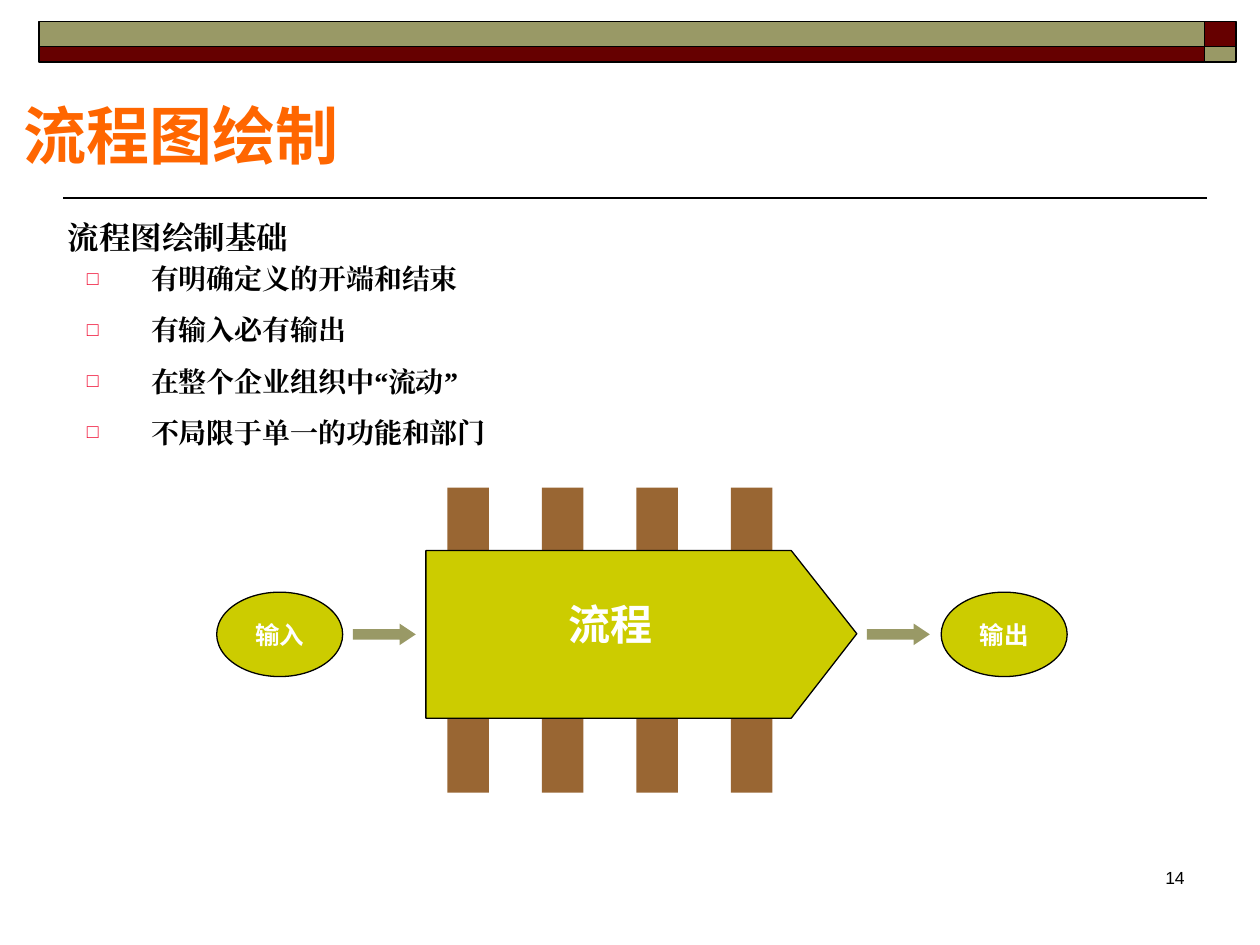
from pptx import Presentation
from pptx.dml.color import RGBColor
from pptx.enum.shapes import MSO_CONNECTOR as Connector, MSO_SHAPE as Shape
from pptx.enum.text import MSO_ANCHOR as Anchor, PP_ALIGN as Align
from pptx.oxml.ns import qn
from pptx.util import Inches, Pt
from lxml.etree import SubElement

OLIVE, MAROON, LIME, BROWN = "999966", "660000", "CCCC00", "996633"


def paint(shape, fill, line=None, weight=0.75):
    shape.shadow.inherit = False
    shape.fill.solid()
    shape.fill.fore_color.rgb = RGBColor.from_string(fill)
    if line:
        shape.line.color.rgb = RGBColor.from_string(line)
        shape.line.width = Pt(weight)
    else:
        shape.line.fill.background()


def write(text, at, size, font="Arial", color="000000", bold=True,
          align=Align.LEFT, anchor=Anchor.TOP, before=0, bullet=None):
    box = page.shapes.add_textbox(*map(Inches, at))
    frame = box.text_frame
    frame.word_wrap = True
    frame.vertical_anchor = anchor
    for index, line in enumerate(text.split("\n")):
        para = frame.add_paragraph() if index else frame.paragraphs[0]
        para.alignment = align
        para.space_before = Pt(before)
        span = para.add_run()
        span.text = line
        span.font.size = Pt(size)
        span.font.bold = bold
        span.font.name = font
        span.font.color.rgb = RGBColor.from_string(color)
        SubElement(span.font._element, qn("a:ea"), typeface=font)
        if bullet:
            props = para._p.get_or_add_pPr()
            props.set("marL", str(Inches(0.51)))
            props.set("indent", str(-Inches(0.51)))
            tint = SubElement(props, qn("a:buClr"))
            SubElement(tint, qn("a:srgbClr"), val=bullet)
            SubElement(props, qn("a:buSzPct"), val="70000")
            SubElement(props, qn("a:buFont"), typeface=font)
            SubElement(props, qn("a:buChar"), char="□")


deck = Presentation()
deck.slide_width, deck.slide_height = Inches(10), Inches(7.5)
page = deck.slides.add_slide(deck.slide_layouts[6])

rule = page.shapes.add_connector(
    Connector.STRAIGHT, Inches(9.58), Inches(1.57), Inches(0.5), Inches(1.57))
rule.line.color.rgb = RGBColor.from_string("000000")
rule.line.width = Pt(1)
SubElement(rule._element.spPr, qn("a:effectLst"))

for top, height, long_fill, short_fill in [
        (0.17, 0.2, OLIVE, MAROON), (0.37, 0.12, MAROON, OLIVE)]:
    for left, width, fill in [(0.31, 9.25, long_fill), (9.56, 0.25, short_fill)]:
        band = page.shapes.add_shape(
            Shape.RECTANGLE, *map(Inches, (left, top, width, height)))
        paint(band, fill, "000000", 1)

write("流程图绘制", (0.09, 0.46, 8.5, 1.21), 36, "Noto Sans CJK SC", "FF6600",
      anchor=Anchor.MIDDLE)
write("流程图绘制基础", (0.44, 1.68, 5.58, 0.4), 18, "Times New Roman", before=11.2)
write("有明确定义的开端和结束\n有输入必有输出\n在整个企业组织中“流动”\n不局限于单一的功能和部门",
      (0.59, 2.03, 7.01, 2.34), 16, "Times New Roman", before=10, bullet="F00C32")

for column in range(4):
    pillar = page.shapes.add_shape(
        Shape.RECTANGLE, Inches(3.55 + 0.75 * column), Inches(3.87),
        Inches(0.33), Inches(2.42))
    paint(pillar, BROWN)

outline = page.shapes.build_freeform(Inches(3.38), Inches(4.37))
outline.add_line_segments(
    [(Inches(x), Inches(y)) for x, y in
     [(6.28, 4.37), (6.8, 5.03), (6.28, 5.7), (3.38, 5.7)]], close=True)
paint(outline.convert_to_shape(), LIME, "000000")
write("流程", (3.47, 4.7, 2.75, 0.5), 24, color="FFFFFF", align=Align.CENTER, before=15)

for label, left in [("输入", 1.72), ("输出", 7.47)]:
    oval = page.shapes.add_shape(
        Shape.OVAL, *map(Inches, (left, 4.7, 1, 0.67)))
    paint(oval, LIME, "000000")
    write(label, (left, 4.87, 1, 0.34), 14, color="FFFFFF", align=Align.CENTER, before=8.8)

for left in (2.8, 6.88):
    arrow = page.shapes.add_shape(
        Shape.RIGHT_ARROW, *map(Inches, (left, 4.95, 0.5, 0.17)))
    arrow.adjustments[1] = 0.75
    paint(arrow, OLIVE)

write("14", (7.42, 6.83, 2.08, 0.5), 10, bold=False, align=Align.RIGHT)

deck.save("out.pptx")
